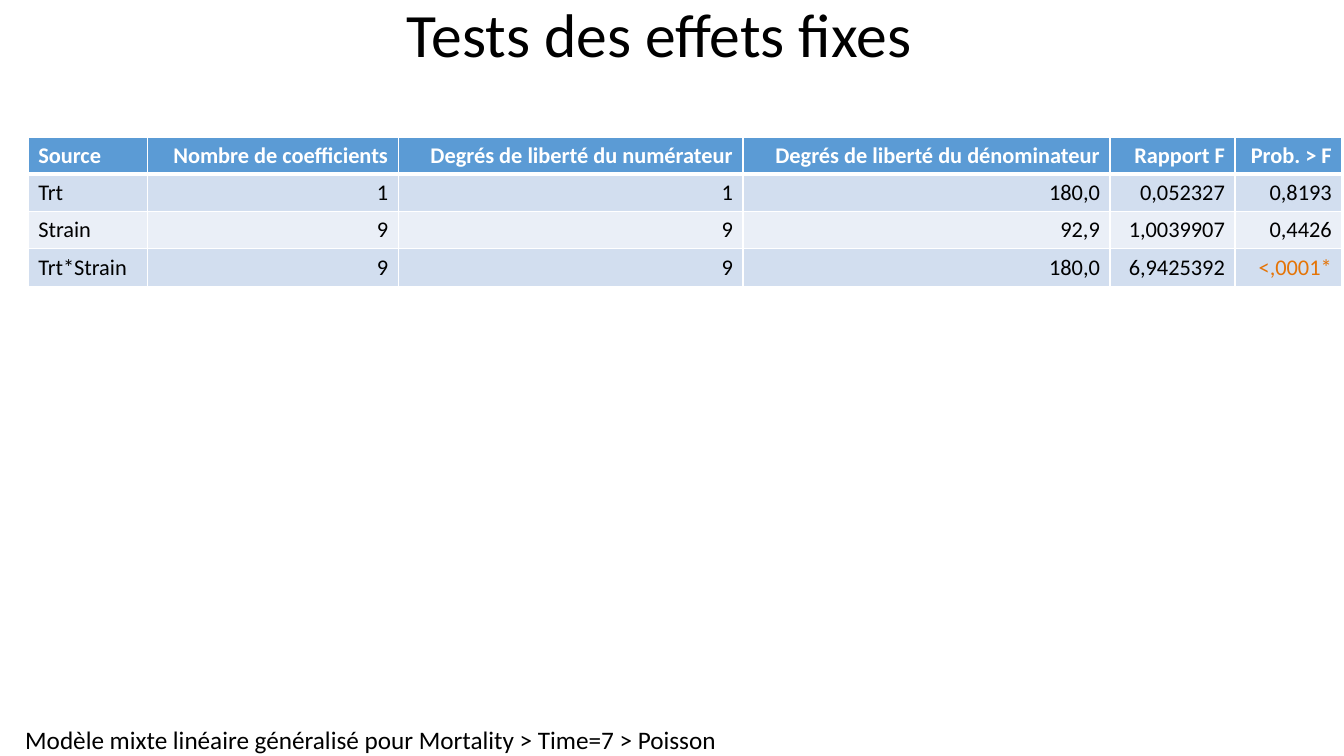
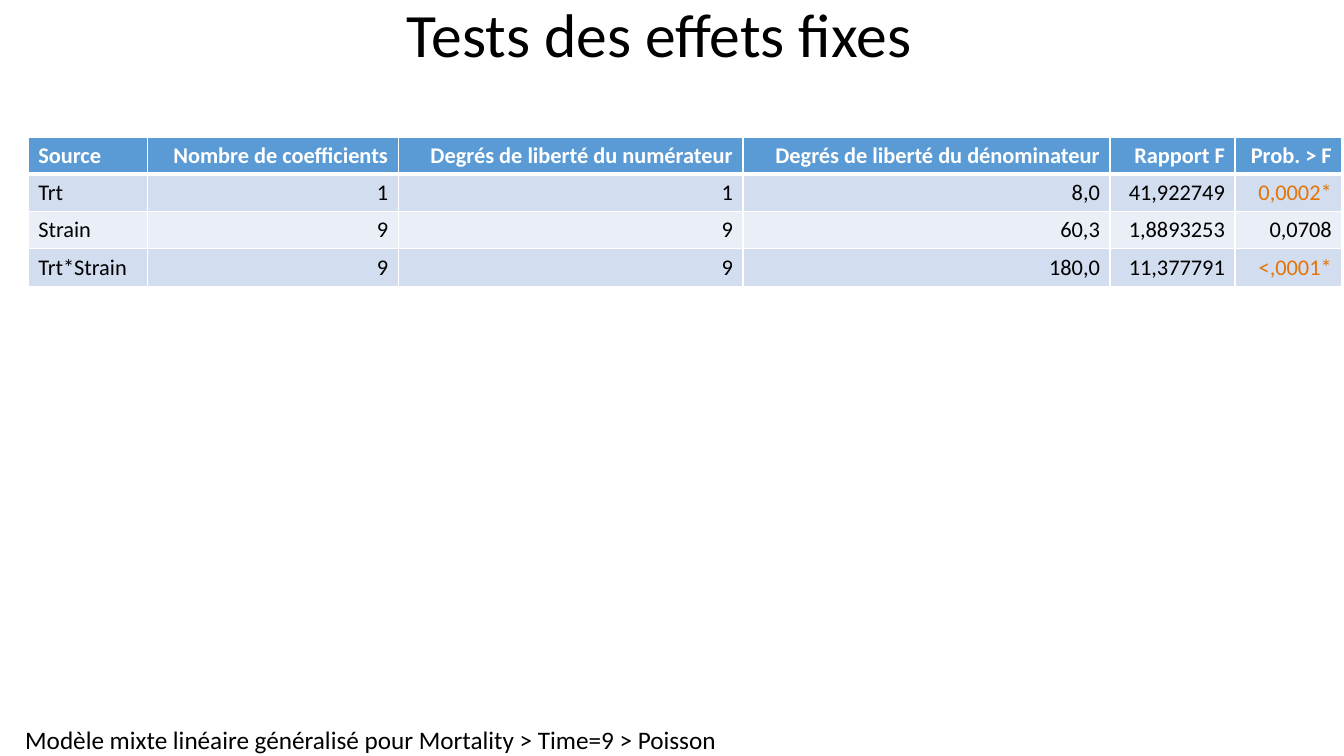
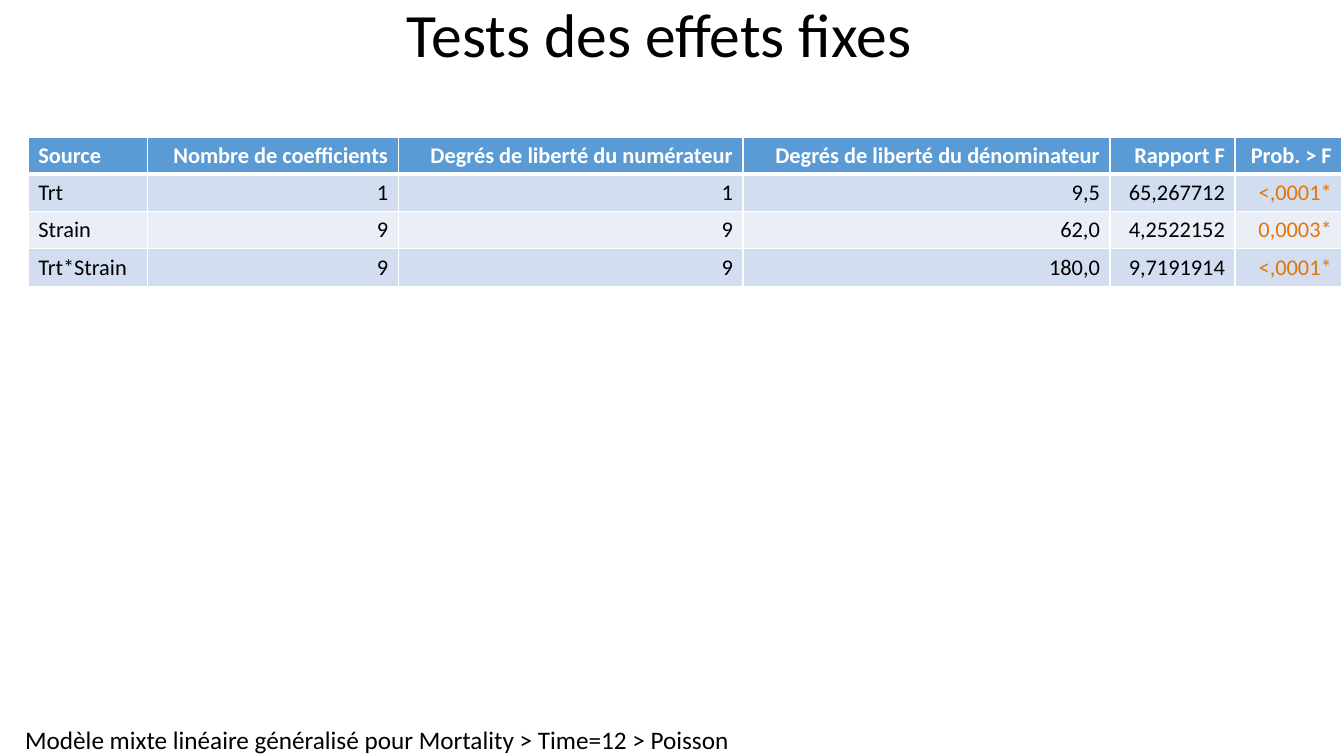
import pptx
import pptx.dml.color
import pptx.enum.text
import pptx.oxml
import pptx.oxml.ns
import pptx.util

Inches, Pt = pptx.util.Inches, pptx.util.Pt
ALIGN = pptx.enum.text.PP_ALIGN

COLORS = {
    "text": "000000",
    "white": "FFFFFF",
    "header": "5B9BD5",
    "odd_row": "D2DEEF",
    "even_row": "EAEFF7",
    "significant": "E57406",
}
FONT = "Calibri"
TITLE = "Tests des effets fixes"
HEADINGS = ["Source", "Nombre de coefficients", "Degrés de liberté du numérateur",
            "Degrés de liberté du dénominateur", "Rapport F", "Prob. > F"]
COLUMN_WIDTHS = [1.18, 2.49, 3.42, 3.64, 1.24, 1.06]
ROW_HEIGHT = 0.37

# Each effect with its coefficients, which equal its numerator degrees of freedom
EFFECTS = [("Trt", "1"), ("Strain", "9"), ("Trt*Strain", "9")]

# Time, footer width, then denominator, F ratio and probability of each effect
RESULTS = [
    (7, 6.88, [("180,0", "0,052327", "0,8193"),
               ("92,9", "1,0039907", "0,4426"),
               ("180,0", "6,9425392", "<,0001*")]),
    (9, 6.88, [("8,0", "41,922749", "0,0002*"),
               ("60,3", "1,8893253", "0,0708"),
               ("180,0", "11,377791", "<,0001*")]),
    (12, 7, [("9,5", "65,267712", "<,0001*"),
             ("62,0", "4,2522152", "0,0003*"),
             ("180,0", "9,7191914", "<,0001*")]),
]


def rgb(color):
    return pptx.dml.color.RGBColor.from_string(COLORS[color])


class Deck:
    """Holds the shared style and the current slide."""

    def __init__(self):
        self.presentation = pptx.Presentation()
        self.presentation.slide_width = Inches(13.33)
        self.presentation.slide_height = Inches(7.5)
        self.slide = None

    def new_slide(self):
        layout = self.presentation.slide_layouts.get_by_name("Title Only")
        self.slide = self.presentation.slides.add_slide(layout)

    def set_text(self, frame, text, size, color="text", bold=False, align=ALIGN.LEFT):
        frame.text = text
        paragraph = frame.paragraphs[0]
        paragraph.alignment = align
        font = paragraph.runs[0].font
        font.name, font.size, font.bold = FONT, Pt(size), bold
        font.color.rgb = rgb(color)
        return paragraph

    def title(self, text):
        heading = self.slide.shapes.title
        heading.left, heading.top = Inches(0), Inches(0)
        heading.width, heading.height = Inches(13.08), Inches(0.75)
        frame = heading.text_frame
        frame.vertical_anchor = pptx.enum.text.MSO_ANCHOR.MIDDLE
        frame.auto_size = pptx.enum.text.MSO_AUTO_SIZE.NONE
        self.set_text(frame, text, 44, align=ALIGN.CENTER).line_spacing = 0.9

    def footer(self, text, width):
        model = self.slide.shapes.add_textbox(
            Inches(0.25), Inches(7.19), Inches(width), Inches(0.31))
        frame = model.text_frame
        frame.margin_left = frame.margin_right = 0
        frame.margin_top = frame.margin_bottom = 0
        frame.word_wrap = False
        frame.auto_size = pptx.enum.text.MSO_AUTO_SIZE.SHAPE_TO_FIT_TEXT
        self.set_text(frame, text, 18)

    def borders(self, cell, top, bottom):
        properties = cell._tc.get_or_add_tcPr()
        widths = {"lnL": 1, "lnR": 1, "lnT": top, "lnB": bottom}
        for position, (side, width) in enumerate(widths.items()):
            properties.insert(position, pptx.oxml.parse_xml(
                f'<a:{side} {pptx.oxml.ns.nsdecls("a")} w="{Pt(width)}"><a:solidFill>'
                f'<a:srgbClr val="{COLORS["white"]}"/></a:solidFill></a:{side}>'))

    def table(self, rows):
        tests = self.slide.shapes.add_table(
            len(rows), len(COLUMN_WIDTHS), Inches(0.28), Inches(1.36),
            Inches(sum(COLUMN_WIDTHS)), Inches(ROW_HEIGHT * len(rows))).table
        for column, width in zip(tests.columns, COLUMN_WIDTHS):
            column.width = Inches(width)
        for r, values in enumerate(rows):
            is_header = r == 0
            fill = "header" if is_header else "odd_row" if r % 2 else "even_row"
            for c, value in enumerate(values):
                cell = tests.cell(r, c)
                cell.fill.solid()
                cell.fill.fore_color.rgb = rgb(fill)
                self.borders(cell, top=3 if r == 1 else 1, bottom=3 if is_header else 1)
                # A final star marks a significant probability
                color = ("white" if is_header else
                         "significant" if value.endswith("*") else "text")
                self.set_text(cell.text_frame, value, 16, color, is_header,
                              ALIGN.RIGHT if c else ALIGN.LEFT)


def main():
    deck = Deck()
    for time, footer_width, tests in RESULTS:
        deck.new_slide()
        deck.footer(f"Modèle mixte linéaire généralisé pour Mortality > Time={time} > Poisson",
                    footer_width)
        deck.title(TITLE)
        deck.table([HEADINGS] + [[source, count, count, *test]
                                 for (source, count), test in zip(EFFECTS, tests)])
    deck.presentation.save("out.pptx")


if __name__ == "__main__":
    main()
